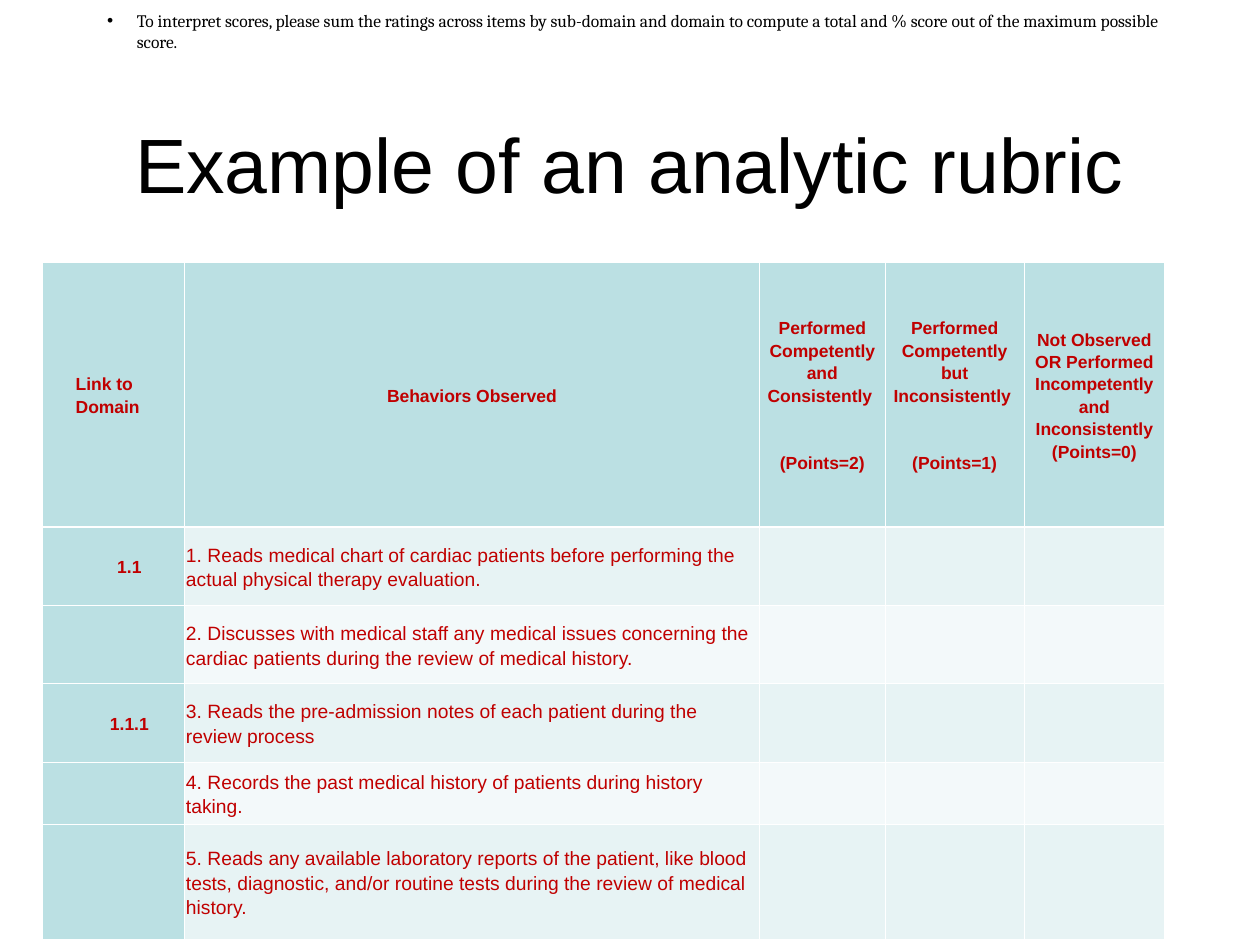
from lxml.etree import SubElement
from pptx import Presentation
from pptx.dml.color import RGBColor
from pptx.enum.text import MSO_ANCHOR, MSO_AUTO_SIZE, PP_ALIGN
from pptx.oxml.ns import qn
from pptx.util import Pt

BLACK = RGBColor(0x00, 0x00, 0x00)
RED = RGBColor(0xC0, 0x00, 0x00)
TEAL = RGBColor(0xBB, 0xE0, 0xE3)
PALE = RGBColor(0xE7, 0xF3, 0xF4)
FAINT = RGBColor(0xF3, 0xF9, 0xFA)

HEADS = [
    ["Link to", "Domain"],
    ["Behaviors Observed"],
    ["Performed Competently and Consistently ", "(Points=2)"],
    ["Performed Competently but Inconsistently ", "(Points=1)"],
    ["Not Observed OR Performed Incompetently and Inconsistently (Points=0)"],
]
ITEMS = [
    ("1.1", "1. Reads medical chart of cardiac patients before performing the actual physical therapy evaluation."),
    ("", "2. Discusses with medical staff any medical issues concerning the cardiac patients during the review of medical history."),
    ("1.1.1", "3. Reads the pre-admission notes of each patient during the review process"),
    ("", "4. Records the past medical history of patients during history taking."),
    ("", "5. Reads any available laboratory reports of the patient, like blood tests, diagnostic, and/or routine tests during the review of medical history."),
]
WIDTHS = [81, 328.5, 72, 79.2, 80.5]
HEIGHTS = [151, 44.8, 44.8, 45, 31.7, 66]


def write(frame, lines, size=10, font="Arial", color=RED, bold=False,
          align=PP_ALIGN.LEFT, left=0, hang=0, pitch=1.15, gap=0, after=0):
    """Fill a text frame, with one paragraph for each line."""
    frame.word_wrap = True
    for num, line in enumerate(lines):
        para = frame.paragraphs[0] if num == 0 else frame.add_paragraph()
        para.alignment = align
        para.line_spacing = pitch
        para.space_before = Pt(gap if num else 0)
        para.space_after = Pt(after if line == lines[-1] else 0)
        props = para._p.get_or_add_pPr()
        props.set("marL", str(Pt(left)))
        props.set("indent", str(Pt(-hang)))
        run = para.add_run()
        run.text = line
        run.font.size = Pt(size)
        run.font.name = font
        run.font.bold = bold
        run.font.color.rgb = color


def place(shape, left, top, width, height):
    """Set the place and size of a shape."""
    shape.left, shape.top = Pt(left), Pt(top)
    shape.width, shape.height = Pt(width), Pt(height)


def edge(cell, side, width):
    """Draw one white border of a cell."""
    line = SubElement(cell._tc.get_or_add_tcPr(), qn(f"a:ln{side}"), w=str(Pt(width)))
    fill = SubElement(line, qn("a:solidFill"))
    SubElement(fill, qn("a:srgbClr"), val="FFFFFF")


def style(cell, row, col):
    """Set the borders, fill and margins of a cell."""
    thick = {(0, "B"), (1, "T")}
    for side in "LRTB":
        edge(cell, side, 1.47 if (row, side) in thick else 0.45)
    cell.fill.solid()
    band = PALE if row % 2 else FAINT
    cell.fill.fore_color.rgb = TEAL if row == 0 or col == 0 else band
    cell.vertical_anchor = MSO_ANCHOR.MIDDLE
    cell.margin_left = cell.margin_right = Pt(0.9)
    cell.margin_top = cell.margin_bottom = Pt(3.6)


def add_grid(slide):
    """Add the rubric table."""
    grid = slide.shapes.add_table(
        len(HEIGHTS), len(WIDTHS), Pt(24.4), Pt(150.1),
        Pt(sum(WIDTHS)), Pt(sum(HEIGHTS))).table
    for col, width in zip(grid.columns, WIDTHS):
        col.width = Pt(width)
    for row, height in zip(grid.rows, HEIGHTS):
        row.height = Pt(height)
    for row in range(len(HEIGHTS)):
        for col in range(len(WIDTHS)):
            style(grid.cell(row, col), row, col)

    inset = dict(left=36, hang=18, after=10, bold=True)
    middle = dict(align=PP_ALIGN.CENTER, gap=25.5, bold=True)
    for col, lines in enumerate(HEADS):
        write(grid.cell(0, col).text_frame, lines, **(middle if col else inset))
    for row, (link, item) in enumerate(ITEMS, 1):
        if link:
            write(grid.cell(row, 0).text_frame, [link], align=PP_ALIGN.CENTER, **inset)
        write(grid.cell(row, 1).text_frame, [item], size=11)


def add_title(slide):
    """Fill the title."""
    title = slide.shapes.title
    place(title, 54, 48, 612, 90)
    title.text_frame.vertical_anchor = MSO_ANCHOR.MIDDLE
    write(title.text_frame, ["Example of an analytic rubric"], size=44,
          color=BLACK, align=PP_ALIGN.CENTER, pitch=1)


def add_note(slide):
    """Fill the body with the scoring note."""
    body = slide.placeholders[1]
    place(body, 43.2, 0.7, 633.6, 34)
    frame = body.text_frame
    frame.auto_size = MSO_AUTO_SIZE.NONE
    frame.vertical_anchor = MSO_ANCHOR.TOP
    frame.margin_left, frame.margin_top = Pt(18), Pt(5)
    frame.margin_right = frame.margin_bottom = 0
    write(frame, ["To interpret scores, please sum the ratings across items by sub-domain and domain to compute a total and % score out of the maximum possible score."],
          font="Cambria", color=BLACK, left=17, hang=17, pitch=1)


def main():
    """Build and save the slide."""
    deck = Presentation()
    deck.slide_width, deck.slide_height = Pt(720), Pt(540)
    slide = deck.slides.add_slide(deck.slide_layouts[1])
    add_title(slide)
    add_grid(slide)
    add_note(slide)
    deck.save("out.pptx")


if __name__ == "__main__":
    main()
